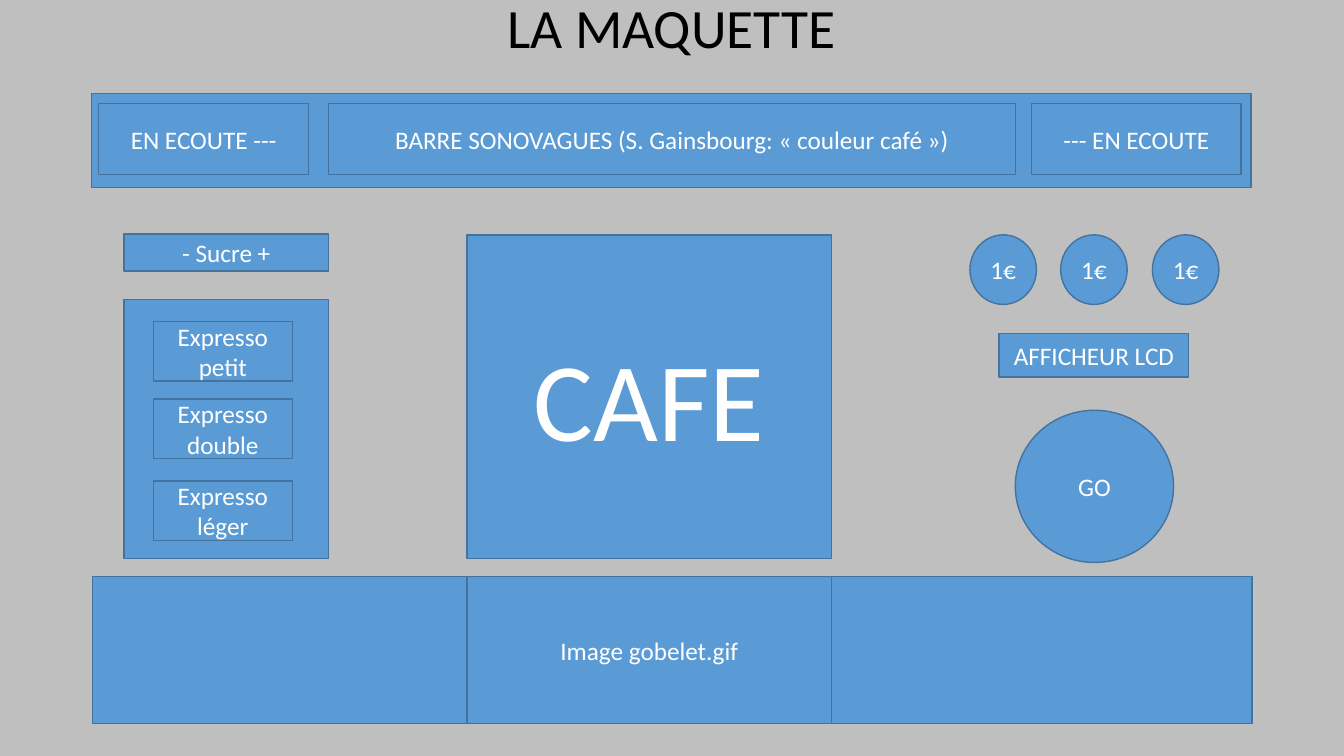
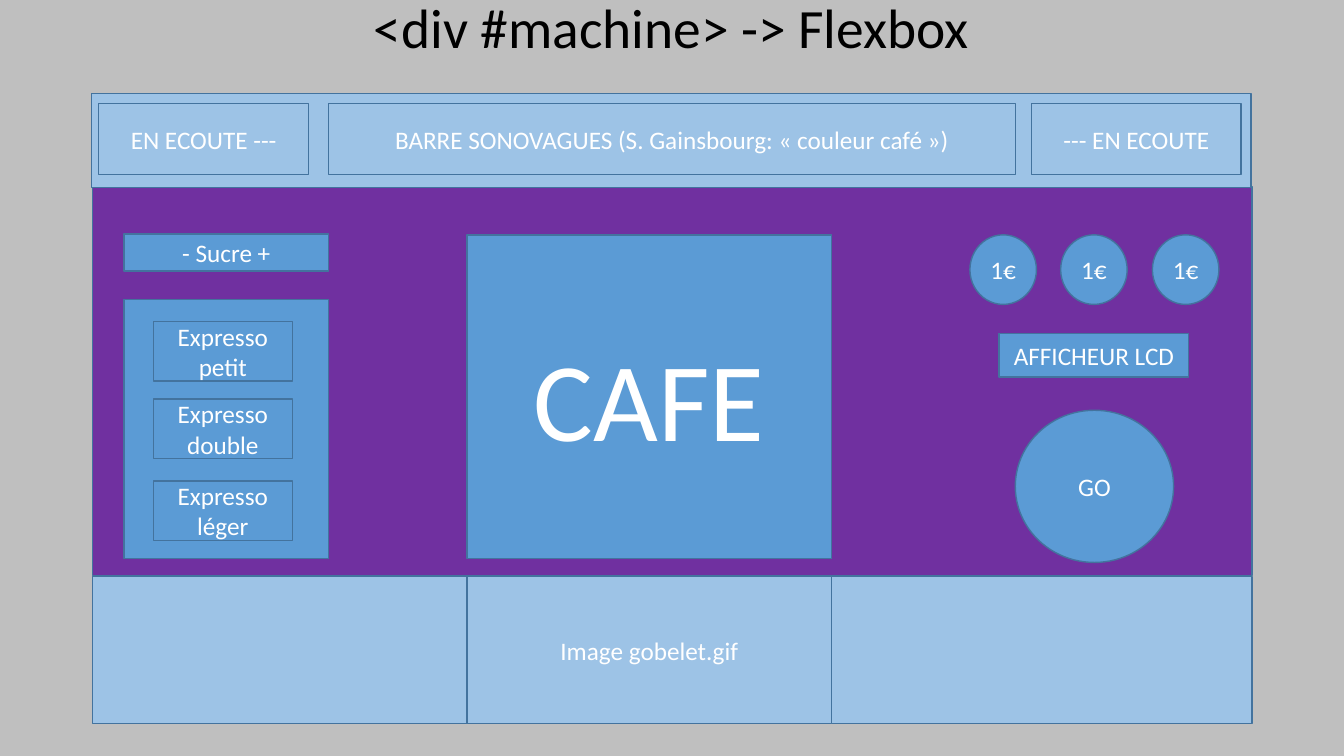
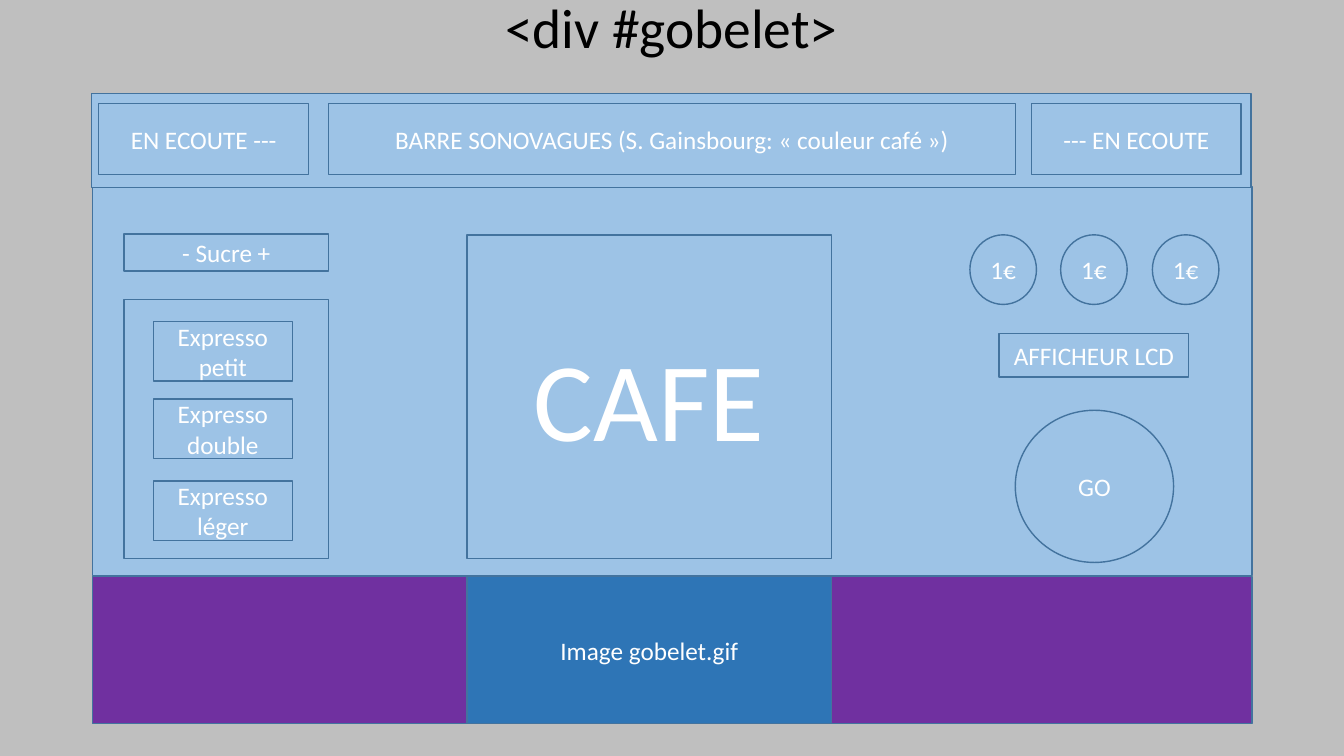
from dataclasses import dataclass
from enum import Enum, auto

from pptx import Presentation
from pptx import util as u
from pptx.dml.color import RGBColor
from pptx.enum import shapes, text

RECT = shapes.MSO_SHAPE.RECTANGLE
OVAL = shapes.MSO_SHAPE.OVAL


class Role(Enum):
    CORE = auto()
    BAR = auto()
    TRAY = auto()
    CUP = auto()
    BACK = auto()


@dataclass(frozen=True)
class Theme:
    font: str = "Calibri"
    page: str = "BFBFBF"
    ink: str = "000000"
    white: str = "FFFFFF"
    edge: str = "43739E"
    blue: str = "5B9BD5"
    pale: str = "9DC3E6"
    deep: str = "2E75B6"
    mark: str = "7030A0"
    head: float = 39.6
    body: int = 18
    huge: int = 80


T = Theme()


@dataclass(frozen=True)
class Box:
    role: Role
    x: int
    y: int
    w: int
    h: int
    label: str = ""
    kind: shapes.MSO_SHAPE = RECT
    size: int = T.body


@dataclass(frozen=True)
class Look:
    title: str
    fills: dict[Role, str]


BACK = (Box(Role.BACK, 92, 185, 1150, 386),)

DRINKS = ((319, "Expresso petit"), (396, "Expresso\ndouble"), (477, "Expresso léger"))
MENU = (
    Box(Role.CORE, 123, 232, 203, 37, "- Sucre +"),
    Box(Role.CORE, 123, 297, 203, 257),
    *(Box(Role.CORE, 152, y, 138, 59, name) for y, name in DRINKS),
)

SCREEN = (Box(Role.CORE, 463, 233, 362, 321, "CAFE", size=T.huge),)

PAY = (
    *(Box(Role.CORE, 962 + 181 * i // 2, 233, 66, 69, "1€", OVAL) for i in range(3)),
    Box(Role.CORE, 991, 331, 188, 43, "AFFICHEUR LCD"),
    Box(Role.CORE, 1007, 407, 157, 151, "GO", OVAL),
)

TUNES = (
    (98, 208, "EN ECOUTE ---"),
    (326, 681, "BARRE SONOVAGUES (S. Gainsbourg: « couleur café »)"),
    (1023, 208, "--- EN ECOUTE"),
)
PLAYER = (
    Box(Role.BAR, 91, 93, 1150, 93),
    *(Box(Role.BAR, x, 103, w, 70, name) for x, w, name in TUNES),
)

TRAY = (
    Box(Role.TRAY, 92, 572, 1150, 146),
    Box(Role.CUP, 463, 572, 362, 146, "Image gobelet.gif"),
)

GROUPS = (BACK, MENU, SCREEN, PAY, PLAYER, TRAY)

PALE = dict.fromkeys(Role, T.pale)
LOOKS = (
    Look("LA MAQUETTE", {r: T.blue for r in Role if r is not Role.BACK}),
    Look("<div #machine> -> Flexbox", PALE | {Role.CORE: T.blue, Role.BACK: T.mark}),
    Look("<div #gobelet>", PALE | {Role.TRAY: T.mark, Role.CUP: T.deep}),
)


def px(n: int) -> u.Emu:
    return u.Emu(n * 9144)


def color(code: str) -> RGBColor:
    return RGBColor.from_string(code)


def style(frame, size: float, code: str) -> None:
    frame.vertical_anchor = text.MSO_ANCHOR.MIDDLE
    for para in frame.paragraphs:
        para.alignment = text.PP_ALIGN.CENTER
        para.font.name = T.font
        para.font.size = u.Pt(size)
        para.font.color.rgb = color(code)


def draw(tree, box: Box, fill: str) -> None:
    shape = tree.add_shape(box.kind, px(box.x), px(box.y), px(box.w), px(box.h))
    shape.shadow.inherit = False
    shape.fill.solid()
    shape.fill.fore_color.rgb = color(fill)
    shape.line.color.rgb = color(T.edge)
    shape.line.width = u.Pt(1)
    if box.label:
        shape.text_frame.text = box.label
        style(shape.text_frame, box.size, T.white)


def build(deck, layout, look: Look) -> None:
    slide = deck.slides.add_slide(layout)
    frame = slide.shapes.title.text_frame
    frame.text = look.title
    frame.auto_size = text.MSO_AUTO_SIZE.NONE
    frame.paragraphs[0].line_spacing = 0.9
    style(frame, T.head, T.ink)
    for group in GROUPS:
        boxes = [box for box in group if box.role in look.fills]
        if not boxes:
            continue
        tree = slide.shapes
        if len(boxes) > 1:
            tree = tree.add_group_shape().shapes
        for box in boxes:
            draw(tree, box, look.fills[box.role])


def main() -> None:
    deck = Presentation()
    deck.slide_width, deck.slide_height = px(1333), px(750)
    fill = deck.slide_master.background.fill
    fill.solid()
    fill.fore_color.rgb = color(T.page)
    layout = deck.slide_layouts.get_by_name("Title Only")
    title = layout.placeholders[0]
    title.left, title.top, title.width, title.height = map(px, (91, -1, 1150, 63))
    for look in LOOKS:
        build(deck, layout, look)
    deck.save("out.pptx")


if __name__ == "__main__":
    main()
